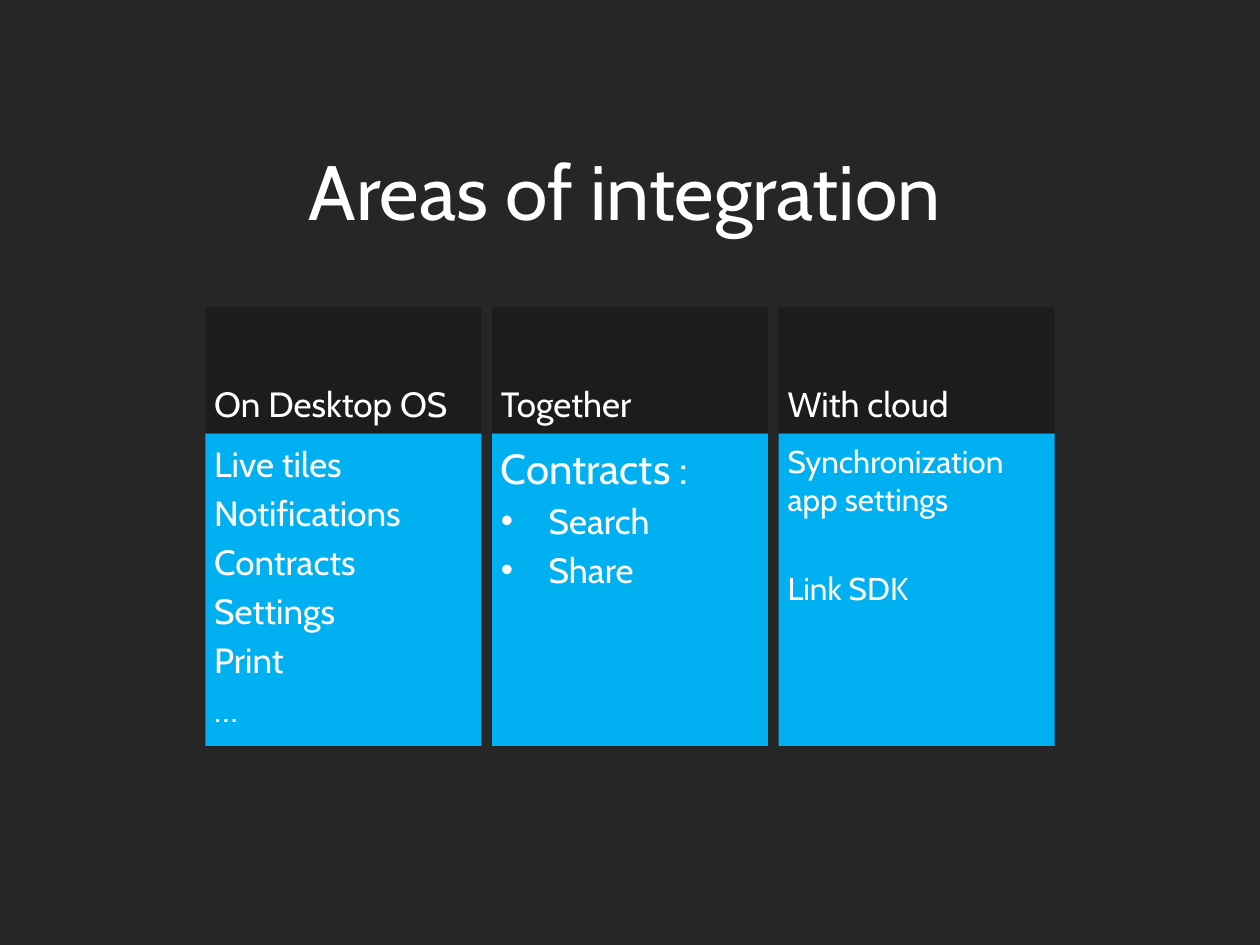
from lxml import etree
from pptx import Presentation
from pptx.dml.color import RGBColor
from pptx.enum.shapes import MSO_SHAPE
from pptx.enum.text import MSO_ANCHOR, MSO_AUTO_SIZE, PP_ALIGN
from pptx.oxml.ns import qn
from pptx.util import Inches, Pt

RECT = MSO_SHAPE.RECTANGLE
TOP, MIDDLE, BOTTOM = MSO_ANCHOR.TOP, MSO_ANCHOR.MIDDLE, MSO_ANCHOR.BOTTOM
LEFT, CENTER = PP_ALIGN.LEFT, PP_ALIGN.CENTER
NO_FIT = MSO_AUTO_SIZE.NONE
FONT, WHITE, DARK, BLACK, BLUE = "Cabin", "FFFFFF", "262626", "1C1C1C", "00B0F0"
COLUMN_W, COLUMN_STEP, HEADER_H, LIST_H = 2.19, 2.275, 1, 2.48

COLUMNS = [
    ("On Desktop OS", 1, [(text, 20, False, 4) for text in
                          ("Live tiles", "Notifications", "Contracts",
                           "Settings", "Print", "…")]),
    ("Together", 2, [("Contracts :", 24, False, 0),
                     ("Search", 20, True, 4), ("Share", 20, True, 4)]),
    ("With cloud", 4, [("Synchronization app settings", 18, False, 0),
                       ("Link SDK", 18, False, 29)]),
]


def rgb(value):
    """Turn a hex string into a colour."""
    return RGBColor.from_string(value)


def place(shape, box):
    """Move a shape to a box given in inches."""
    for name, value in zip(("left", "top", "width", "height"), box):
        setattr(shape, name, Inches(value))


def paint(shape, color):
    """Fill a shape and take its outline away."""
    shape.fill.solid()
    shape.fill.fore_color.rgb = rgb(color)
    shape.line.fill.background()


def set_frame(tf, anchor, top_inset):
    """Set wrapping, anchor and insets of a text frame."""
    formats = {"word_wrap": True, "auto_size": NO_FIT, "vertical_anchor": anchor,
               "margin_left": Inches(0.07), "margin_top": Inches(top_inset),
               "margin_right": Inches(0.04), "margin_bottom": Inches(0.07)}
    for name, value in formats.items():
        setattr(tf, name, value)


def write(p, text, size, align=LEFT, bullet=False, before=0):
    """Write one formatted paragraph, with a bullet if wanted."""
    pPr = p._p.get_or_add_pPr()
    indent = Inches(0.38) if bullet else 0
    pPr.set("marL", str(indent))
    pPr.set("indent", str(-indent))
    if bullet:
        etree.SubElement(pPr, qn("a:buFont")).set("typeface", "Arial")
        etree.SubElement(pPr, qn("a:buChar")).set("char", "•")
    else:
        etree.SubElement(pPr, qn("a:buNone"))
    p.alignment = align
    p.space_before = Pt(before)
    r = p.add_run()
    r.text = text
    for name, value in {"name": FONT, "size": Pt(size), "bold": False}.items():
        setattr(r.font, name, value)
    r.font.color.rgb = rgb(WHITE)


def add_title(s, box, text):
    """Fill the title placeholder."""
    title = s.shapes.title
    place(title, box)
    tf = title.text_frame
    set_frame(tf, MIDDLE, 0.07)
    write(tf.paragraphs[0], text, 44, CENTER)


def add_column(s, left, top, heading, body, items):
    """Add a dark heading above a blue list."""
    header = s.shapes.add_shape(RECT, 0, 0, 0, 0)
    header.shadow.inherit = False
    place(header, (left, top, COLUMN_W, HEADER_H))
    paint(header, BLACK)
    set_frame(header.text_frame, BOTTOM, 0.04)
    write(header.text_frame.paragraphs[0], heading, 20)

    place(body, (left, top + HEADER_H, COLUMN_W, LIST_H))
    paint(body, BLUE)
    tf = body.text_frame
    set_frame(tf, TOP, 0.07)
    for i, (text, size, bullet, before) in enumerate(items):
        p = tf.add_paragraph() if i else tf.paragraphs[0]
        write(p, text, size, bullet=bullet, before=before if i else 0)


def main():
    """Build the slide and save it."""
    prs = Presentation()
    prs.slide_width, prs.slide_height = Inches(10), Inches(7.5)
    s = prs.slides.add_slide(prs.slide_layouts.get_by_name("Comparison"))
    s.background.fill.solid()
    s.background.fill.fore_color.rgb = rgb(DARK)
    bodies = {ph.placeholder_format.idx: ph for ph in s.placeholders}
    add_title(s, (0.37, 1.09, 9.15, 0.83), "Areas of integration")
    for i, (heading, idx, items) in enumerate(COLUMNS):
        add_column(s, 1.63 + i * COLUMN_STEP, 2.44, heading, bodies[idx], items)
    unused = bodies[3]._element
    unused.getparent().remove(unused)
    prs.save("out.pptx")


if __name__ == "__main__":
    main()
